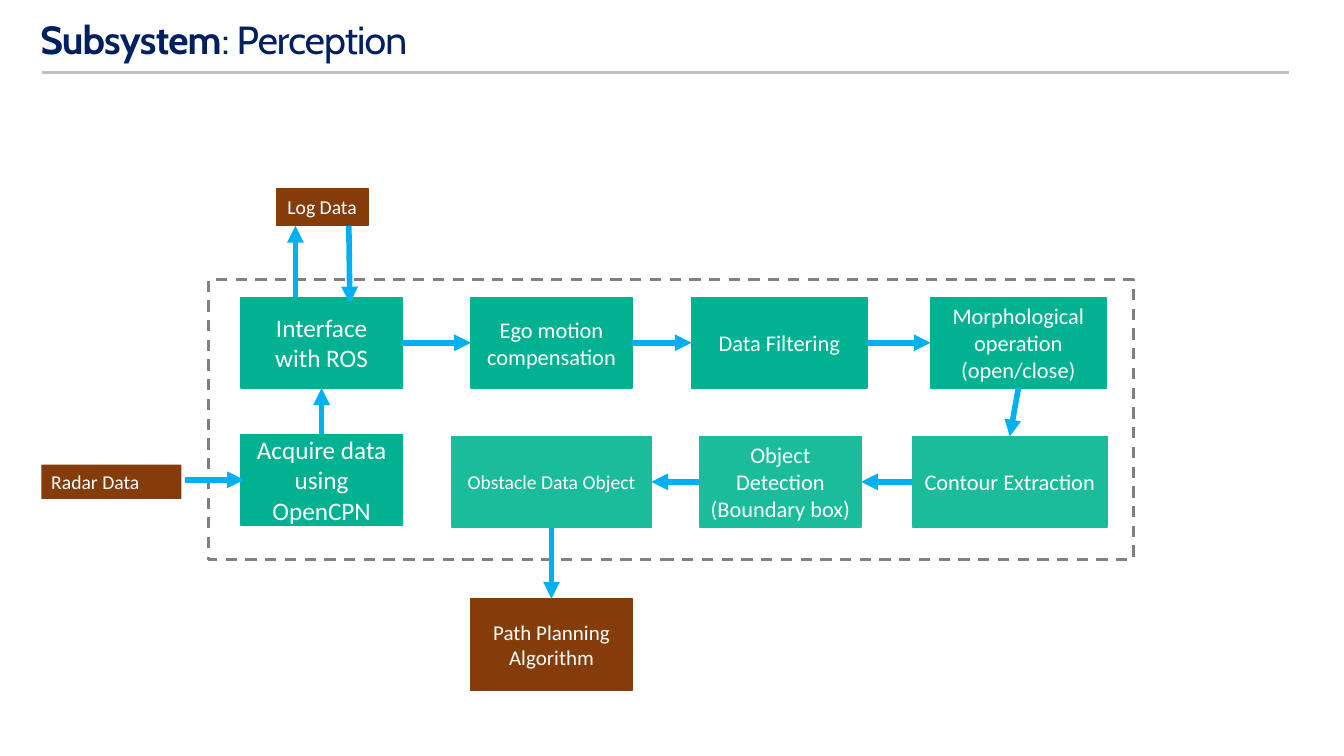
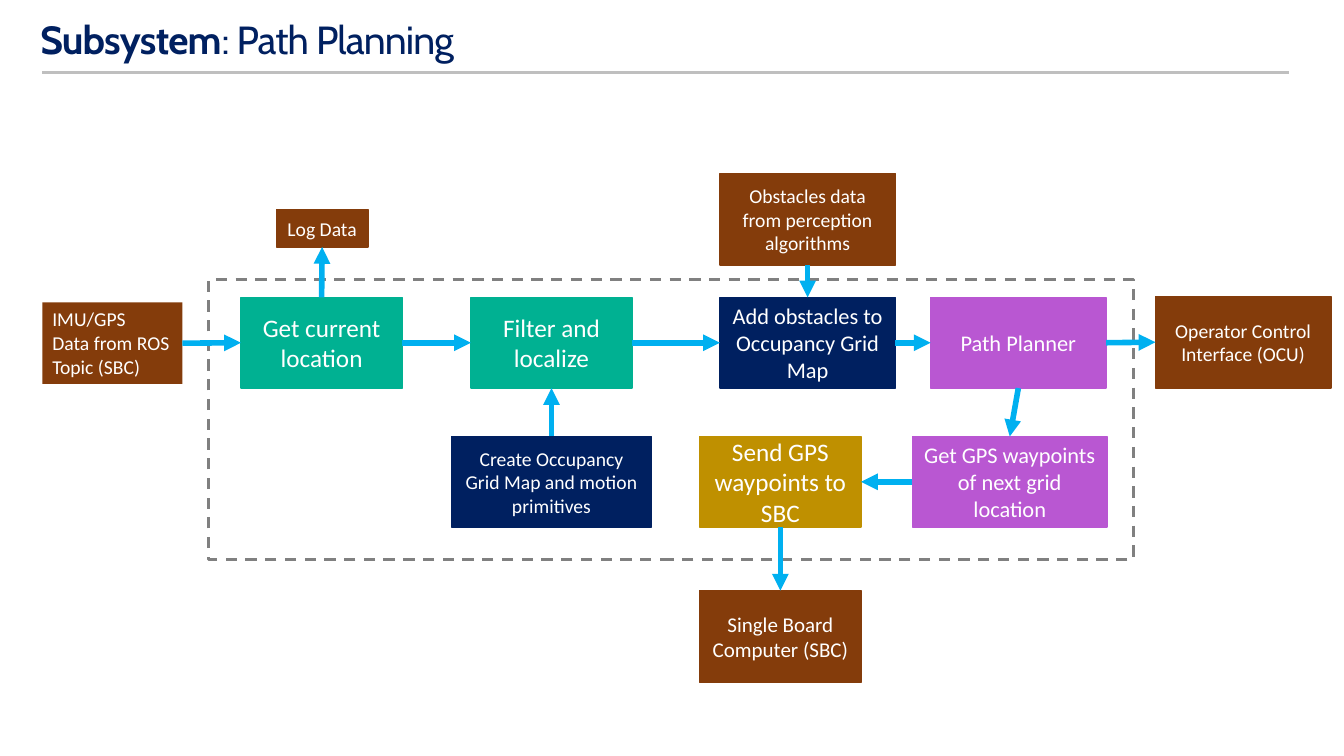
from lxml import etree
from pptx import Presentation
from pptx.dml.color import RGBColor
from pptx.enum.dml import MSO_LINE
from pptx.enum.shapes import MSO_CONNECTOR, MSO_SHAPE
from pptx.enum.text import MSO_ANCHOR, MSO_AUTO_SIZE, PP_ALIGN
from pptx.oxml.ns import qn
from pptx.util import Pt

PX = 9144  # EMU in one px, 100 px to the inch
COLORS = {
    "navy": "002060", "rule": "BFBFBF", "frame": "808080", "arrow": "00B0F0",
    "green": "00B192", "teal": "1BBC9B", "brown": "843C0B",
    "purple": "B957D2", "gold": "BF9000", "white": "FFFFFF",
}
TITLE_BOX = (5, 0, 1127, 71)
SYSTEM_BOX = (207, 277, 917, 278)

# Rows and recurring places, relative to the system box
TOP, LOW, STEP_H = 18, 156, 90
FIRST = (32, TOP, 160, STEP_H)
SECOND = (260, TOP, 160, STEP_H)
FOURTH = (716, TOP, 174, STEP_H)
LOW_SECOND = (241, LOW, 198, STEP_H)
LOW_THIRD = (487, LOW, 160, STEP_H)
LOW_FOURTH = (698, LOW, 193, STEP_H)

# Connection sites of a rectangle
SITES = {"top": 0, "left": 1, "bottom": 2, "right": 3}

# Steps: name -> (place, colour, text size, text)
PERCEPTION = {
    "interface": (FIRST, "green", 18, "Interface with ROS"),
    "ego": (SECOND, "green", 16, "Ego motion compensation"),
    "filtering": ((479, TOP, 174, STEP_H), "green", 16, "Data Filtering"),
    "morphology": (FOURTH, "green", 16, "Morphological operation (open/close)"),
    "contour": (LOW_FOURTH, "teal", 16, "Contour Extraction"),
    "detection": (LOW_THIRD, "teal", 16, "Object Detection (Boundary box)"),
    "obstacle": (LOW_SECOND, "teal", 14, "Obstacle Data Object"),
    "acquire": ((32, 154, 160, STEP_H), "green", 18, "Acquire data using OpenCPN"),
    "planning": ((260, 317, 160, 91), "brown", 15, "Path Planning Algorithm"),
    "log": ((67, -90, 91, 37), "brown", 14, "Log Data"),
}
PERCEPTION_SOURCE = ((-166, 184, 139, 34), "Radar Data")
PERCEPTION_FLOW = [
    ("interface", "right", "ego", "left"),
    ("ego", "right", "filtering", "left"),
    ("filtering", "right", "morphology", "left"),
    ("morphology", "bottom", "contour", "top"),
    ("contour", "left", "detection", "right"),
    ("detection", "left", "obstacle", "right"),
    ("obstacle", "bottom", "planning", "top"),
    ("acquire", "top", "interface", "bottom"),
]
# Arrows that do not meet a side at its middle
PERCEPTION_FREE = [
    (-24, 199, 35, 199),
    (86, TOP, 86, -53),
    (139, -53, 140, 24),
]

PATH_PLANNING = {
    "location": (FIRST, "green", 18, "Get current location"),
    "localize": (SECOND, "green", 18, "Filter and localize"),
    "add": ((507, TOP, 174, STEP_H), "navy", 16, "Add obstacles to Occupancy Grid Map"),
    "planner": (FOURTH, "purple", 16, "Path Planner"),
    "waypoints": (LOW_FOURTH, "purple", 16, "Get GPS waypoints of next grid location"),
    "send": (LOW_THIRD, "gold", 18, "Send GPS waypoints to SBC"),
    "create": (LOW_SECOND, "navy", 14, "Create Occupancy Grid Map and motion primitives"),
    "log": ((67, -69, 91, 37), "brown", 14, "Log Data"),
    "obstacles": ((507, -105, 174, 91), "brown", 14,
                  "Obstacles data from perception algorithms"),
    "board": ((487, 309, 160, 91), "brown", 15, "Single Board Computer (SBC)"),
    "operator": ((939, 17, 174, 91), "brown", 14, "Operator Control Interface (OCU)"),
}
PATH_SOURCE = ((-165, 23, 139, 81), "IMU/GPS\nData from ROS Topic (SBC)")
PATH_FLOW = [
    ("source", "right", "location", "left"),
    ("location", "top", "log", "bottom"),
    ("location", "right", "localize", "left"),
    ("localize", "right", "add", "left"),
    ("add", "right", "planner", "left"),
    ("planner", "right", "operator", "left"),
    ("obstacles", "bottom", "add", "top"),
    ("planner", "bottom", "waypoints", "top"),
    ("waypoints", "left", "send", "right"),
    ("send", "bottom", "board", "top"),
    ("create", "top", "localize", "bottom"),
]


def color(name):
    return RGBColor.from_string(COLORS[name])


def emu(lengths):
    return [length * PX for length in lengths]


def shifted(box, place):
    """Turn a place inside a box into a place on the slide."""
    return (box[0] + place[0], box[1] + place[1], *place[2:])


def style_font(paragraph, face, size, tone):
    paragraph.font.name = face
    paragraph.font.size = Pt(size)
    paragraph.font.color.rgb = color(tone)


def add_line(slide, ends, tone, width):
    line = slide.shapes.add_connector(MSO_CONNECTOR.STRAIGHT, *emu(ends))
    line.line.color.rgb = color(tone)
    line.line.width = Pt(width)
    etree.SubElement(line._element.spPr, qn("a:effectLst"))
    return line


def add_arrow(slide, ends=(0, 0, 0, 0)):
    arrow = add_line(slide, ends, "arrow", 4)
    etree.SubElement(arrow.line._get_or_add_ln(), qn("a:tailEnd"), type="triangle")
    return arrow


def add_rect(slide, place):
    rect = slide.shapes.add_shape(MSO_SHAPE.RECTANGLE, *emu(place))
    rect.shadow.inherit = False
    return rect


def add_block(slide, place, tone, size, text, align=PP_ALIGN.CENTER):
    block = add_rect(slide, place)
    block.fill.solid()
    block.fill.fore_color.rgb = color(tone)
    block.line.color.rgb = color(tone)
    block.line.width = Pt(1)
    frame = block.text_frame
    frame.word_wrap = True
    frame.vertical_anchor = MSO_ANCHOR.MIDDLE
    frame.text = text
    for paragraph in frame.paragraphs:
        paragraph.alignment = align
        style_font(paragraph, "Calibri", size, "white")
    return block


def add_source(slide, place, text):
    """Input data: an outline-free block that fits its left-aligned text."""
    source = add_block(slide, place, "brown", 14, text, PP_ALIGN.LEFT)
    source.line.fill.background()
    source.text_frame.vertical_anchor = MSO_ANCHOR.TOP
    source.text_frame.auto_size = MSO_AUTO_SIZE.SHAPE_TO_FIT_TEXT
    return source


def add_title(slide, box, topic):
    left, top, width, height = box
    frame = slide.shapes.add_textbox(*emu(box)).text_frame
    frame.word_wrap = True
    frame.vertical_anchor = MSO_ANCHOR.MIDDLE
    (frame.margin_left, frame.margin_top,
     frame.margin_right, frame.margin_bottom) = emu((35, 17, 6, 6))
    heading = frame.paragraphs[0]
    heading.line_spacing = 0.9
    style_font(heading, "Cabin", 28, "navy")
    for text, bold in (("Subsystem", True), (f": {topic}", False)):
        run = heading.add_run()
        run.text = text
        run.font.bold = bold
        run.font._element.set("spc", "-60")
    # Rule under the title
    rule_y = top + height + 1
    add_line(slide, (left + 37, rule_y, left + 1273, rule_y), "rule", 1.75)


def add_system(slide, box, steps, source, flow, free_arrows=()):
    # Dashed system boundary
    boundary = add_rect(slide, box)
    boundary.fill.background()
    boundary.line.color.rgb = color("frame")
    boundary.line.width = Pt(2)
    boundary.line.dash_style = MSO_LINE.DASH
    # Steps and input
    blocks = {name: add_block(slide, shifted(box, place), *look)
              for name, (place, *look) in steps.items()}
    source_place, source_text = source
    blocks["source"] = add_source(slide, shifted(box, source_place), source_text)
    # Arrows
    for start, start_side, end, end_side in flow:
        arrow = add_arrow(slide)
        arrow.begin_connect(blocks[start], SITES[start_side])
        arrow.end_connect(blocks[end], SITES[end_side])
    for x1, y1, x2, y2 in free_arrows:
        add_arrow(slide, shifted(box, (x1, y1)) + shifted(box, (x2, y2)))


def add_subsystem_slide(deck, topic, *system):
    slide = deck.slides.add_slide(deck.slide_layouts[6])
    add_title(slide, TITLE_BOX, topic)
    add_system(slide, SYSTEM_BOX, *system)


def main():
    deck = Presentation()
    deck.slide_width, deck.slide_height = emu((1333, 750))
    add_subsystem_slide(deck, "Perception", PERCEPTION, PERCEPTION_SOURCE,
                        PERCEPTION_FLOW, PERCEPTION_FREE)
    add_subsystem_slide(deck, "Path Planning", PATH_PLANNING, PATH_SOURCE, PATH_FLOW)
    deck.save("out.pptx")


if __name__ == "__main__":
    main()
